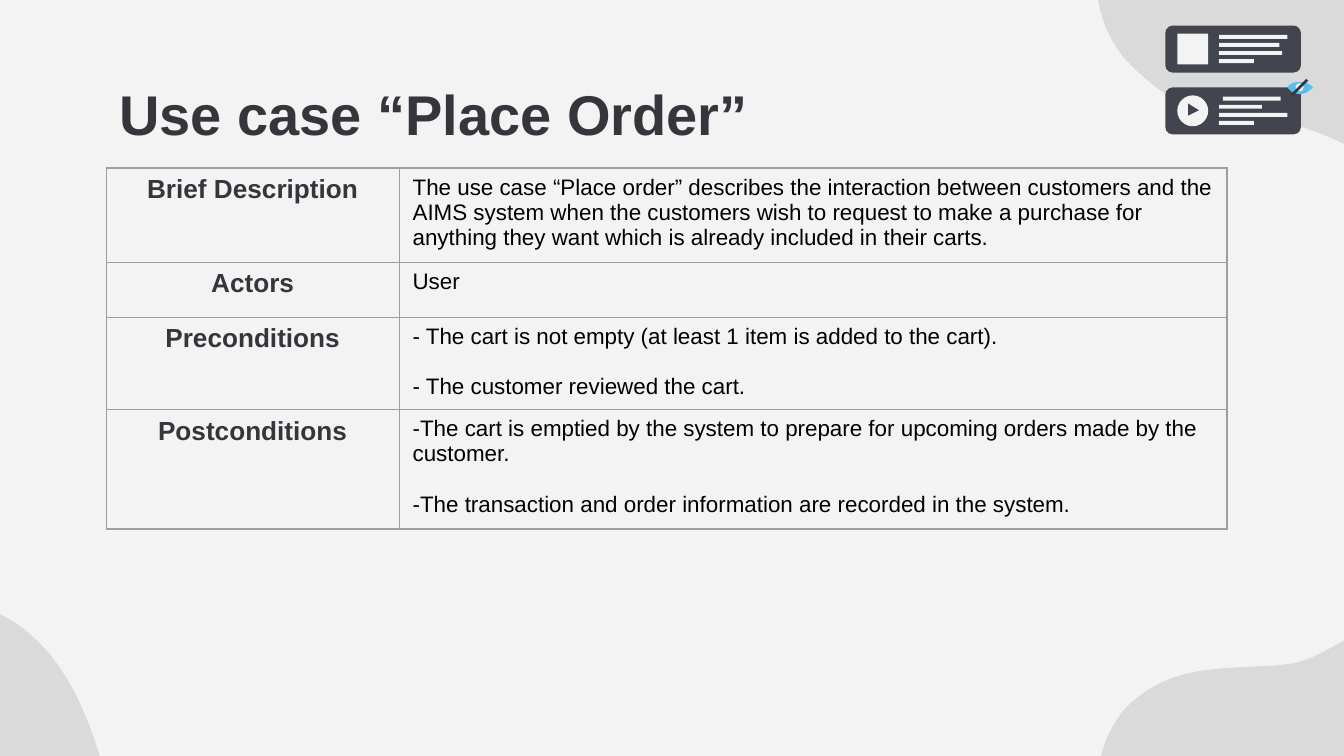
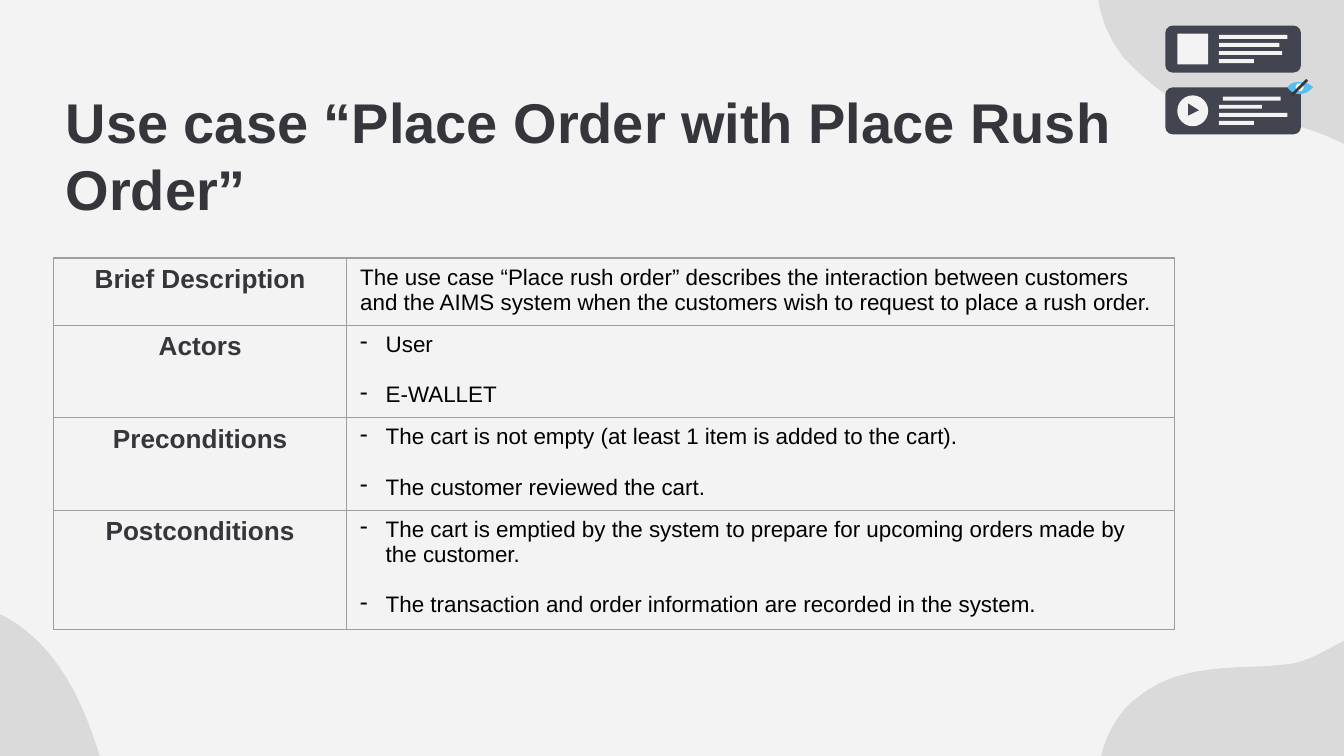
from lxml import etree
from pptx import Presentation
from pptx import util as u
from pptx.dml.color import RGBColor
from pptx.enum import shapes as kinds, text as txt
from pptx.oxml.ns import qn

PAPER = RGBColor(0xF3, 0xF3, 0xF3)
INK = RGBColor(0x35, 0x36, 0x3B)
PANEL = RGBColor(0x42, 0x44, 0x4F)
SKY = RGBColor(0x55, 0xC0, 0xED)
GRID = RGBColor(0x9E, 0x9E, 0x9E)
BLACK = RGBColor(0, 0, 0)
FONT = "Arial"

# Each blob: origin, start point and cubic curves, relative to the origin
BLOBS = [
    # Bottom right
    ((8, 4), (0.32, 1.34), [
        (0.35, 1.29, 0.4, 1.24, 0.45, 1.2), (0.79, 0.91, 1.23, 0.99, 1.6, 0.94),
        (1.79, 0.91, 1.94, 0.78, 2.11, 0.72), (2.68, 0.51, 3.31, 1.02, 3.36, 1.5),
        (3.38, 1.76, 3.32, 1.99, 3.16, 2.2), (3.06, 2.34, 2.92, 2.48, 2.75, 2.61),
        (2.29, 2.94, 1.99, 3.2, 1.34, 3.16), (0.7, 3.12, 0.28, 2.48, 0.17, 1.92),
        (0.17, 1.92, 0.13, 1.61, 0.32, 1.34)]),
    # Bottom left
    ((-2, 4), (1.69, 0.47), [
        (1.84, 0.5, 2.03, 0.56, 2.19, 0.69), (2.58, 1, 2.71, 1.51, 2.83, 1.92),
        (2.96, 2.34, 2.79, 2.71, 2.44, 2.84), (2.36, 2.87, 2.28, 2.87, 2.21, 2.86),
        (1.99, 2.83, 1.81, 2.65, 1.47, 2.59), (1.37, 2.57, 1.27, 2.55, 1.17, 2.54),
        (0.94, 2.5, 0.81, 2.47, 0.56, 2.24), (0.23, 1.93, 0.26, 1.32, 0.62, 0.92),
        (0.98, 0.53, 1.36, 0.47, 1.36, 0.47), (1.36, 0.47, 1.5, 0.44, 1.69, 0.47)]),
    # Top right
    ((8, -2), (1.74, 0.41), [
        (1.92, 0.43, 2.13, 0.5, 2.34, 0.65), (2.79, 1.01, 2.97, 1.61, 3.12, 2.09),
        (3.28, 2.58, 3.09, 3.03, 2.68, 3.19), (2.58, 3.23, 2.49, 3.23, 2.4, 3.22),
        (2.15, 3.19, 1.93, 2.98, 1.53, 2.91), (1.41, 2.89, 1.29, 2.87, 1.17, 2.86),
        (0.9, 2.83, 0.74, 2.79, 0.45, 2.52), (0.04, 2.16, 0.06, 1.44, 0.48, 0.96),
        (0.9, 0.49, 1.35, 0.41, 1.35, 0.41), (1.35, 0.41, 1.51, 0.38, 1.74, 0.41)]),
]
EYE = ((0.09, 0.09), [
    (0.13, 0.09, 0.16, 0.07, 0.19, 0.04), (0.16, 0.01, 0.13, 0, 0.09, 0),
    (0.05, 0, 0.02, 0.01, 0, 0.04), (0.02, 0.07, 0.05, 0.09, 0.09, 0.09)])


def paint(shape, color, alpha=None):
    shape.shadow.inherit = False
    shape.fill.solid()
    shape.fill.fore_color.rgb = color
    shape.line.fill.background()
    if alpha is not None:
        tint = shape.fill._xPr.find(qn("a:solidFill"))[0]
        etree.SubElement(tint, qn("a:alpha"), val=str(alpha * 1000))


def preset(slide, kind, left, top, width, height, color):
    shape = slide.shapes.add_shape(kind, *map(u.Inches, (left, top, width, height)))
    paint(shape, color)
    return shape


def outline(slide, origin, points, color, alpha=None):
    emu = [(u.Inches(origin[0] + x), u.Inches(origin[1] + y)) for x, y in points]
    builder = slide.shapes.build_freeform(*emu[0], scale=1.0)
    builder.add_line_segments(emu[1:], close=True)
    paint(builder.convert_to_shape(), color, alpha)


def curve_points(start, curves, steps=12):
    """Points along a chain of cubic Bézier curves."""
    points = [start]
    for x1, y1, x2, y2, x3, y3 in curves:
        x0, y0 = points[-1]
        for step in range(1, steps + 1):
            t = step / steps
            s = 1 - t
            a, b, c, d = s**3, 3 * s * s * t, 3 * s * t * t, t**3
            points.append((a * x0 + b * x1 + c * x2 + d * x3,
                           a * y0 + b * y1 + c * y2 + d * y3))
    return points


def media_panel(slide, left, top, thumb, bars):
    """Dark card with a thumbnail and four text bars (indent, width)."""
    card = preset(slide, kinds.MSO_SHAPE.ROUNDED_RECTANGLE, left, top, 1.01, 0.35, PANEL)
    card.adjustments[0] = 0.16
    preset(slide, thumb, left + 0.09, top + 0.06, 0.23, 0.23, PAPER)
    for row, (indent, width) in enumerate(bars):
        preset(slide, kinds.MSO_SHAPE.RECTANGLE, left + 0.4 + indent,
               top + 0.07 + 0.06 * row, width, 0.03, PAPER)


def media_icon(slide, left, top):
    media_panel(slide, left, top, kinds.MSO_SHAPE.RECTANGLE,
                [(0, 0.51), (0, 0.45), (0, 0.47), (0, 0.26)])
    media_panel(slide, left, top + 0.46, kinds.MSO_SHAPE.OVAL,
                [(0.03, 0.43), (0, 0.32), (0, 0.51), (0, 0.26)])
    # Play mark
    outline(slide, (left + 0.17, top + 0.58), [(0, 0), (0.08, 0.05), (0, 0.09)], PANEL)
    # Crossed-out eye
    outline(slide, (left + 0.91, top + 0.42), curve_points(*EYE), SKY)
    preset(slide, kinds.MSO_SHAPE.OVAL, left + 0.97, top + 0.43, 0.06, 0.06, PAPER)
    slash = preset(slide, kinds.MSO_SHAPE.RECTANGLE, left + 0.92, top + 0.45,
                   0.16, 0.02, INK)
    slash.rotation = 315


def backdrop(slide):
    slide.background.fill.solid()
    slide.background.fill.fore_color.rgb = PAPER
    for origin, start, curves in BLOBS:
        outline(slide, origin, curve_points(start, curves), BLACK, alpha=10)
    media_icon(slide, 8.67, 0.19)


def style(paragraph, size, color, bold):
    font = paragraph.font
    font.name, font.size, font.bold = FONT, u.Pt(size), bold
    font.color.rgb = color
    # The paragraph mark takes the same size, so that it does not stretch the row
    etree.SubElement(paragraph._p, qn("a:endParaRPr"), sz=str(size * 100))


def title(slide, left, top, words):
    frame = slide.shapes.add_textbox(*map(u.Inches, (left, top, 8.43, 0.63))).text_frame
    frame.word_wrap = True
    frame.margin_left = frame.margin_right = u.Inches(0.1)
    frame.margin_top = frame.margin_bottom = u.Inches(0.1)
    frame.text = words
    style(frame.paragraphs[0], 30, INK, True)


def dash_bullet(paragraph):
    props = paragraph._p.get_or_add_pPr()
    props.set("marL", str(u.Inches(0.19)))
    props.set("indent", str(-u.Inches(0.19)))
    tint = etree.SubElement(props, qn("a:buClr"))
    etree.SubElement(tint, qn("a:srgbClr"), val=str(BLACK))
    etree.SubElement(props, qn("a:buChar"), char="-")


def frame_cell(cell):
    props = cell._tc.get_or_add_tcPr()
    for side in ("lnL", "lnR", "lnT", "lnB"):
        line = etree.SubElement(props, qn("a:" + side), w=str(u.Pt(0.75)))
        fill = etree.SubElement(line, qn("a:solidFill"))
        etree.SubElement(fill, qn("a:srgbClr"), val=str(GRID))
    cell.fill.background()


def use_case_table(slide, left, top, height, rows, bulleted):
    """Rows are (label, lines of detail); each grows to fit its text."""
    widths = (2.18, 6.16)
    holder = slide.shapes.add_table(
        len(rows), 2, *map(u.Inches, (left, top, sum(widths), height)))
    table = holder.table
    table.first_row = table.horz_banding = False
    for column, width in zip(table.columns, widths):
        column.width = u.Inches(width)
    for index, (label, details) in enumerate(rows):
        table.rows[index].height = u.Inches(0.41)
        head, body = table.cell(index, 0), table.cell(index, 1)
        frame_cell(head)
        frame_cell(body)
        head.text = label
        head.text_frame.paragraphs[0].alignment = txt.PP_ALIGN.CENTER
        style(head.text_frame.paragraphs[0], 14, INK, True)
        body.text = "\n".join(details)
        for number, paragraph in enumerate(body.text_frame.paragraphs):
            if number:
                paragraph.space_before = u.Pt(13.5)
            if bulleted and len(details) > 1:
                dash_bullet(paragraph)
            style(paragraph, 12, BLACK, False)
    holder.height = u.Inches(height)


def use_case_slide(deck, heading, heading_at, table_at, rows, bulleted=False):
    slide = deck.slides.add_slide(deck.slide_layouts[6])
    backdrop(slide)
    title(slide, *heading_at, heading)
    use_case_table(slide, *table_at, rows, bulleted)


CART_READY = ["The cart is not empty (at least 1 item is added to the cart).",
              "The customer reviewed the cart."]
ORDER_DONE = ["The cart is emptied by the system to prepare for upcoming orders "
              "made by the customer.",
              "The transaction and order information are recorded in the system."]


def main():
    deck = Presentation()
    # 16:9
    deck.slide_width = u.Inches(10)
    deck.slide_height = deck.slide_width * 9 // 16
    use_case_slide(deck, "Use case “Place Order”", (0.79, 0.49), (0.79, 1.25, 2.91), [
        ("Brief Description", [
            "The use case “Place order” describes the interaction between customers "
            "and the AIMS system when the customers wish to request to make a purchase "
            "for anything they want which is already included in their carts."]),
        ("Actors", ["User"]),
        ("Preconditions", ["- " + line for line in CART_READY]),
        ("Postconditions", ["-" + line for line in ORDER_DONE]),
    ])
    use_case_slide(deck, "Use case “Place Order with Place Rush Order”",
                   (0.39, 0.55), (0.4, 1.92, 3), [
        ("Brief Description", [
            "The use case “Place rush order” describes the interaction between customers "
            "and the AIMS system when the customers wish to request to place a rush order."]),
        ("Actors", ["User", "E-WALLET"]),
        ("Preconditions", CART_READY),
        ("Postconditions", ORDER_DONE),
    ], bulleted=True)
    deck.save("out.pptx")


if __name__ == "__main__":
    main()
